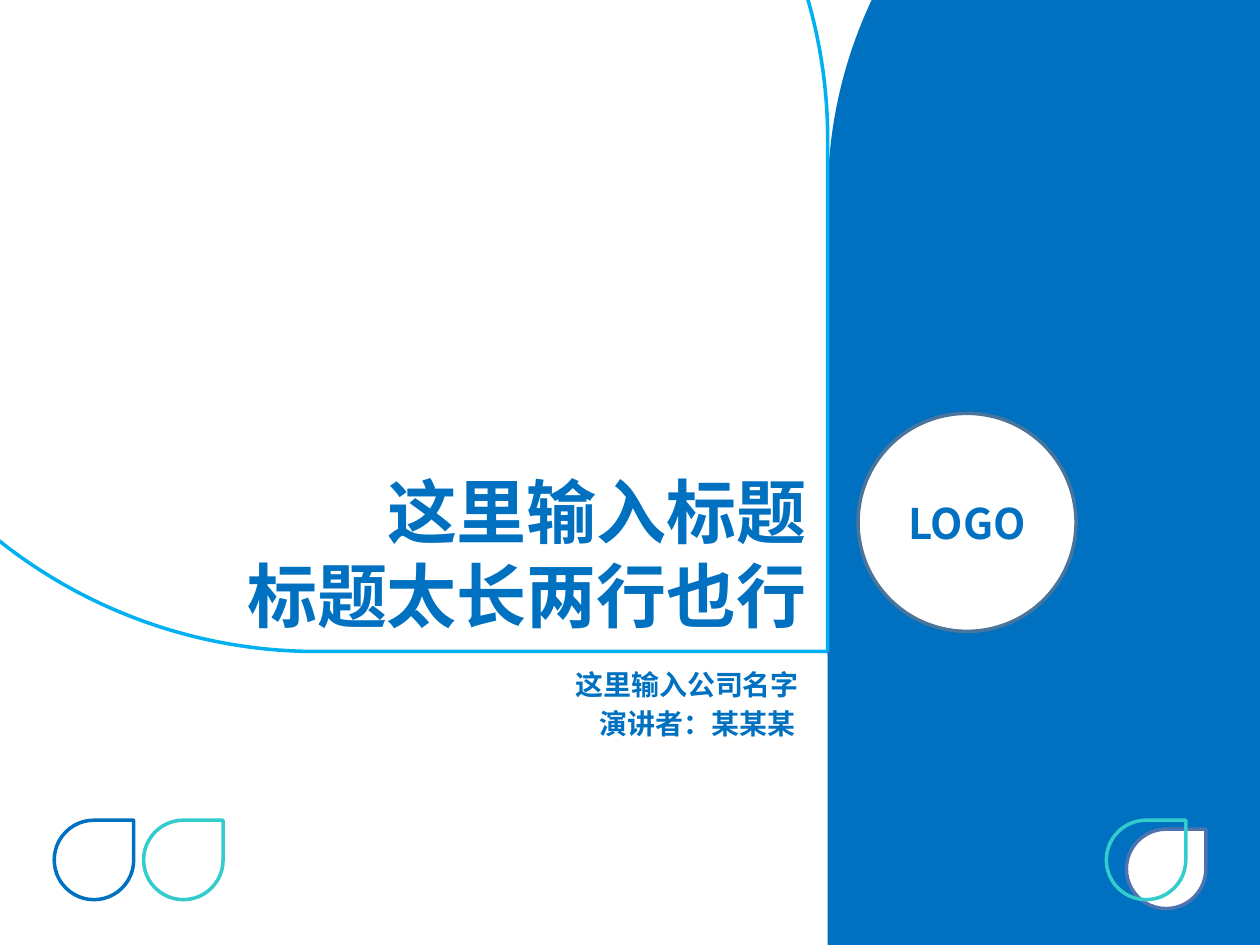
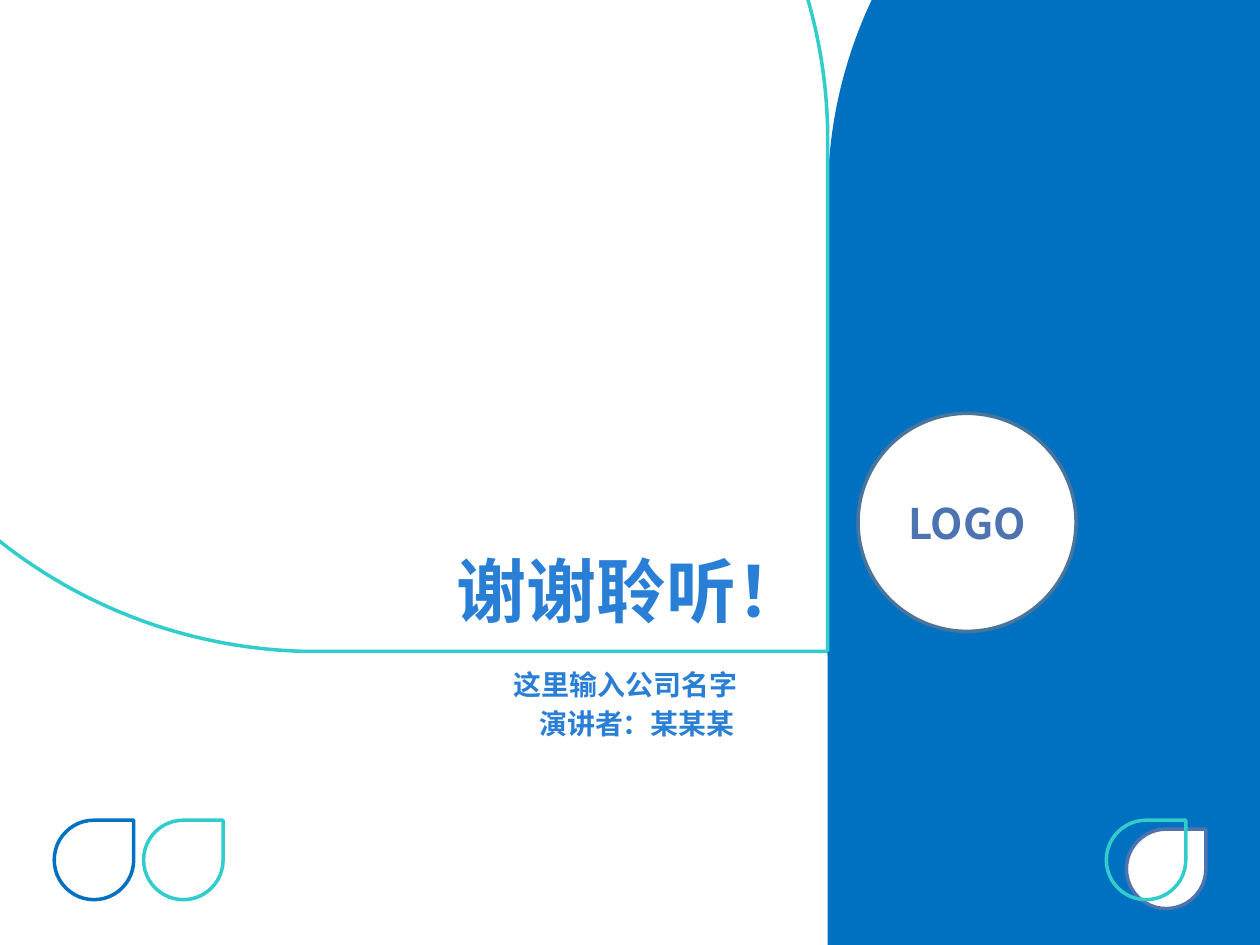
from dataclasses import dataclass

from lxml import etree
from pptx import Presentation
from pptx.dml.color import RGBColor
from pptx.enum.shapes import MSO_SHAPE
from pptx.enum.text import MSO_ANCHOR, MSO_AUTO_SIZE, PP_ALIGN
from pptx.oxml.ns import qn
from pptx.util import Pt

DROP, OVAL = MSO_SHAPE.TEAR, MSO_SHAPE.OVAL
MIDDLE, TOP = MSO_ANCHOR.MIDDLE, MSO_ANCHOR.TOP
CENTER, RIGHT = PP_ALIGN.CENTER, PP_ALIGN.RIGHT
GROW = MSO_AUTO_SIZE.SHAPE_TO_FIT_TEXT


@dataclass(frozen=True)
class Theme:
    blue: str = "0070C0"
    sky: str = "00B0F0"
    teal: str = "33CCCC"
    azure: str = "297FD5"
    slate: str = "4D73B0"
    rim: str = "49749B"
    white: str = "FFFFFF"
    body: str = "Roboto"
    badge: str = "Noto Sans CJK SC"
    title: int = 40
    mark: int = 24
    small: int = 16
    stroke: int = 2


THEME = Theme()
SEAM_X, SEAM_Y = 473, 372.3   # corner where the curved panels meet
PANEL, ARC, LEAF = 525, 584, 45.4
LEAF_Y = 468.7


def write(frame, text, *, size, color, font, align, anchor=TOP):
    """Fill a text frame, one paragraph per line of text."""
    frame.vertical_anchor = anchor
    for i, line in enumerate(text.split("\n")):
        para = frame.paragraphs[0] if i == 0 else frame.add_paragraph()
        para.alignment = align
        run = para.add_run()
        run.text = line
        run.font.size, run.font.bold, run.font.name = Pt(size), True, font
        run.font.color.rgb = RGBColor.from_string(color)
        east = etree.SubElement(run.font._element, qn("a:ea"))
        east.set("typeface", font)


class Deck:
    def __init__(self, theme):
        self.theme = theme
        self.prs = Presentation()
        self.prs.slide_width, self.prs.slide_height = Pt(720), Pt(540)
        self.slide = None

    def page(self):
        self.slide = self.prs.slides.add_slide(self.prs.slide_layouts[6])

    def shape(self, kind, x, y, size, fill=None, line=None, turn=0):
        item = self.slide.shapes.add_shape(kind, Pt(x), Pt(y), Pt(size), Pt(size))
        item.shadow.inherit = False
        item.rotation = turn
        if fill:
            item.fill.solid()
            item.fill.fore_color.rgb = RGBColor.from_string(fill)
        else:
            item.fill.background()
        if line:
            item.line.color.rgb = RGBColor.from_string(line)
            item.line.width = Pt(self.theme.stroke)
        else:
            item.line.fill.background()
        return item

    def label(self, text, right, top, width, height, size, color):
        """Place right-aligned text by its right edge."""
        box = self.slide.shapes.add_textbox(
            Pt(right - width), Pt(top), Pt(width), Pt(height))
        box.text_frame.word_wrap = False
        box.text_frame.auto_size = GROW
        write(box.text_frame, text, size=size, color=color,
              font=self.theme.body, align=RIGHT)

    def badge(self, text, color):
        disc = self.shape(OVAL, 490.3, 236.2, 124.6, self.theme.white, self.theme.rim)
        write(disc.text_frame, text, size=self.theme.mark, color=color,
              font=self.theme.badge, align=CENTER, anchor=MIDDLE)

    def cover(self, title, top, width, height, ink, arc, mark, edges):
        """Draw a whole page; edges are the right ends of the two small lines."""
        t = self.theme
        self.page()
        self.shape(DROP, SEAM_X, -150.5, PANEL, t.blue, turn=180)
        self.shape(DROP, SEAM_X - ARC, SEAM_Y - ARC, ARC, line=arc, turn=90)
        for x, color in ((82.1, t.teal), (31, t.blue)):
            self.shape(DROP, x, LEAF_Y, LEAF, line=color)
        self.label(title, 468, top, width, height, t.title, ink)
        names = (("这里输入公司名字", 378, 144), ("演讲者：某某某", 400.3, 127.4))
        for (text, y, wide), edge in zip(names, edges):
            self.label(text, edge, y, wide, 26.6, t.small, ink)
        self.shape(DROP, SEAM_X, SEAM_Y, PANEL, t.blue, turn=270)
        self.shape(DROP, 643.7, 473.8, LEAF, t.white, t.slate)
        self.shape(DROP, 632.2, LEAF_Y, LEAF, line=t.teal)
        self.badge("LOGO", mark)


def main():
    deck = Deck(THEME)
    deck.cover("这里输入标题\n标题太长两行也行", 264.2, 337.7, 104.4,
               ink=THEME.blue, arc=THEME.sky, mark=THEME.blue, edges=(463.7, 461.5))
    deck.cover("谢谢聆听！", 309.6, 216.7, 55.4,
               ink=THEME.azure, arc=THEME.teal, mark=THEME.slate, edges=(428.4, 427))
    deck.prs.save("out.pptx")


if __name__ == "__main__":
    main()
